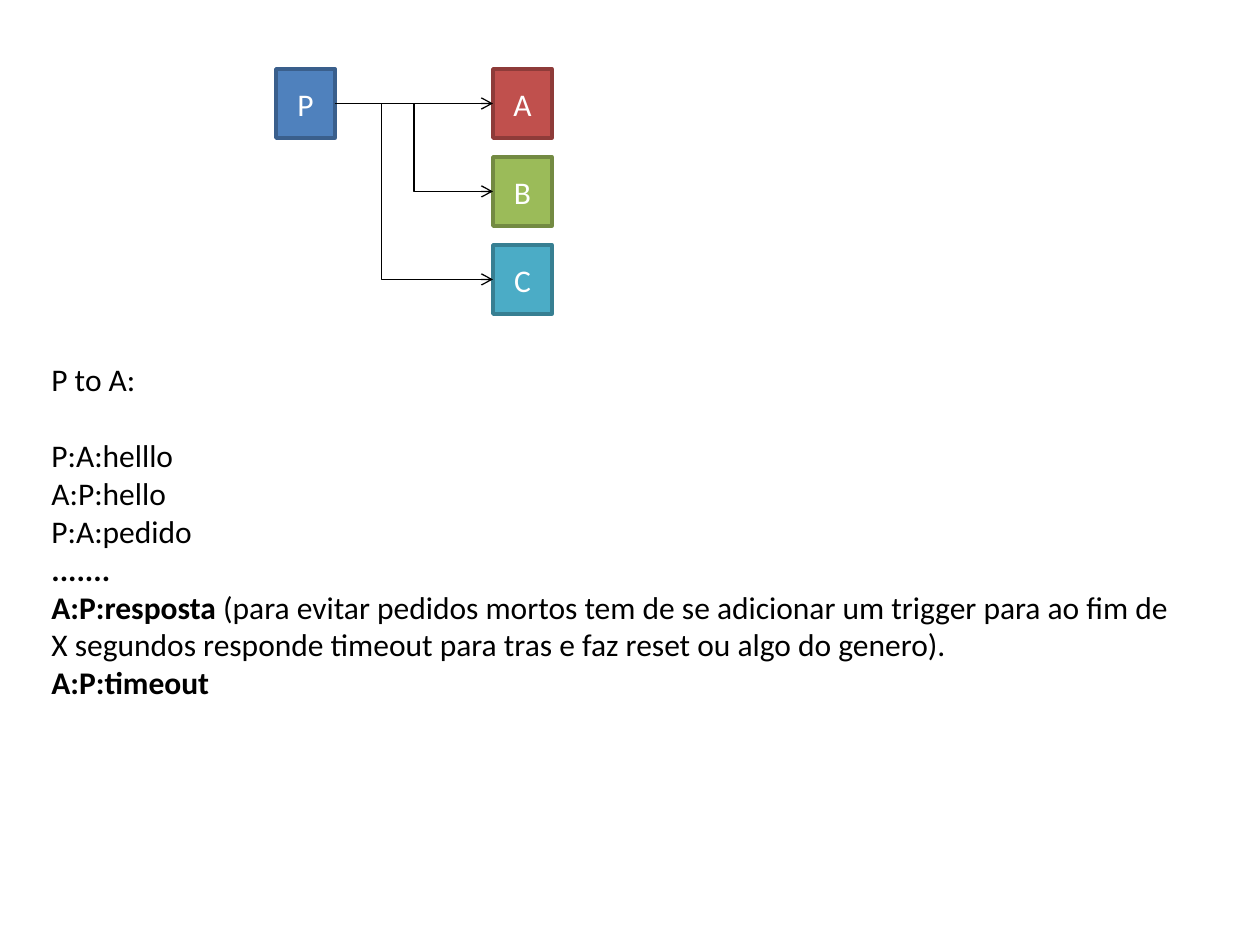
from lxml import etree
from pptx import Presentation
from pptx import util as u
from pptx.dml.color import RGBColor
from pptx.enum import shapes, text
from pptx.oxml.ns import qn

PIXEL = u.Inches(1) / 126
FONT = "Calibri"
BLACK = RGBColor(0x00, 0x00, 0x00)
WHITE = RGBColor(0xFF, 0xFF, 0xFF)
BLUE, DARK_BLUE = RGBColor(0x4F, 0x81, 0xBD), RGBColor(0x3A, 0x5F, 0x8C)
RED, DARK_RED = RGBColor(0xC0, 0x50, 0x4D), RGBColor(0x8E, 0x3B, 0x39)
GREEN, DARK_GREEN = RGBColor(0x9B, 0xBB, 0x59), RGBColor(0x73, 0x8A, 0x42)
TEAL, DARK_TEAL = RGBColor(0x4B, 0xAC, 0xC6), RGBColor(0x37, 0x7F, 0x92)

NODE_WIDTH, NODE_HEIGHT = 59, 69
SENDER_LEFT, RECEIVER_LEFT = 276, 493
FIRST_TOP, ROW_STEP = 69, 88
LEFT_SITE, RIGHT_SITE = 1, 3

# Name, fill, outline, position of the bend along the connector
RECEIVERS = [
    ("A", RED, DARK_RED, 0.5),
    ("B", GREEN, DARK_GREEN, 0.5),
    ("C", TEAL, DARK_TEAL, 0.295),
]

# Each line is a list of (text, bold) spans
HEADING = [("P to A:", False)]
MESSAGES = [
    [("P:A:helllo", False)],
    [("A:P:hello", False)],
    [("P:A:pedido", False)],
    [(".......", True)],
    [("A:P:resposta", True),
     (" (para evitar pedidos mortos tem de se adicionar um trigger para ao fim de", False)],
    [("X segundos responde timeout para tras e faz reset ou algo do genero).", False)],
    [("A:P:timeout", True)],
]


def px(value):
    return u.Emu(round(value * PIXEL))


def add_span(para, words, size=18, color=BLACK, bold=False):
    span = para.add_run()
    span.text = words
    span.font.name = FONT
    span.font.size = u.Pt(size)
    span.font.color.rgb = color
    span.font.bold = bold


def add_node(page, name, left, top, fill, outline):
    node = page.shapes.add_shape(shapes.MSO_SHAPE.RECTANGLE, px(left), px(top),
                                 px(NODE_WIDTH), px(NODE_HEIGHT))
    node.shadow.inherit = False
    node.fill.solid()
    node.fill.fore_color.rgb = fill
    node.line.color.rgb = outline
    node.line.width = u.Pt(2)
    node.text_frame.vertical_anchor = text.MSO_ANCHOR.MIDDLE
    para = node.text_frame.paragraphs[0]
    para.alignment = text.PP_ALIGN.CENTER
    add_span(para, name, color=WHITE)
    return node


def add_arrow(page, sender, receiver, bend):
    arrow = page.shapes.add_connector(shapes.MSO_CONNECTOR.ELBOW, 0, 0, 0, 0)
    arrow.begin_connect(sender, RIGHT_SITE)
    arrow.end_connect(receiver, LEFT_SITE)
    arrow.line.color.rgb = BLACK
    arrow.line.width = u.Pt(0.75)
    # Arrowhead, bend position and no shadow
    properties = arrow._element.spPr
    etree.SubElement(properties.find(qn("a:ln")), qn("a:tailEnd"), type="arrow")
    adjustments = properties.find(qn("a:prstGeom")).get_or_add_avLst()
    etree.SubElement(adjustments, qn("a:gd"), name="adj1", fmla=f"val {round(bend * 100000)}")
    etree.SubElement(properties, qn("a:effectLst"))


def add_text(page, lines, left, top, width, height):
    box = page.shapes.add_textbox(px(left), px(top), px(width), px(height))
    frame = box.text_frame
    frame.word_wrap = False
    frame.auto_size = text.MSO_AUTO_SIZE.SHAPE_TO_FIT_TEXT
    for index, spans in enumerate(lines):
        para = frame.add_paragraph() if index else frame.paragraphs[0]
        for words, bold in spans:
            add_span(para, words, bold=bold)
    return box


def main():
    deck = Presentation()
    deck.slide_width, deck.slide_height = px(1260), px(945)
    page = deck.slides.add_slide(deck.slide_layouts[6])

    # Diagram: one sender, three receivers
    sender = add_node(page, "P", SENDER_LEFT, FIRST_TOP, BLUE, DARK_BLUE)
    for row, (name, fill, outline, bend) in enumerate(RECEIVERS):
        top = FIRST_TOP + row * ROW_STEP
        receiver = add_node(page, name, RECEIVER_LEFT, top, fill, outline)
        add_arrow(page, sender, receiver, bend)

    # Message exchange, set apart from its heading by one line
    box = add_text(page, [HEADING] + MESSAGES, 39, 354, 1155, 394)
    box.text_frame.paragraphs[0].space_after = u.Pt(22)

    deck.save("out.pptx")


main()
